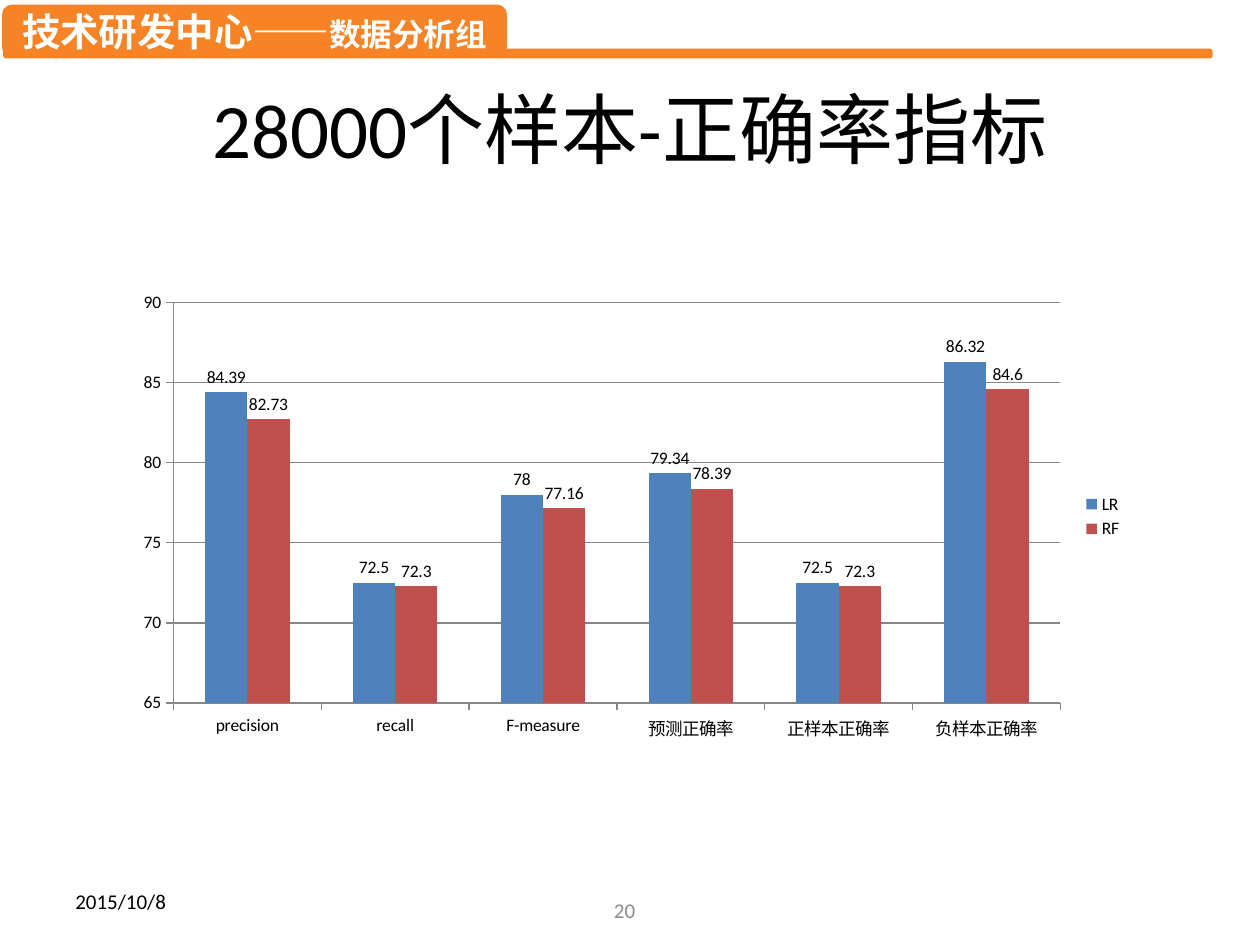
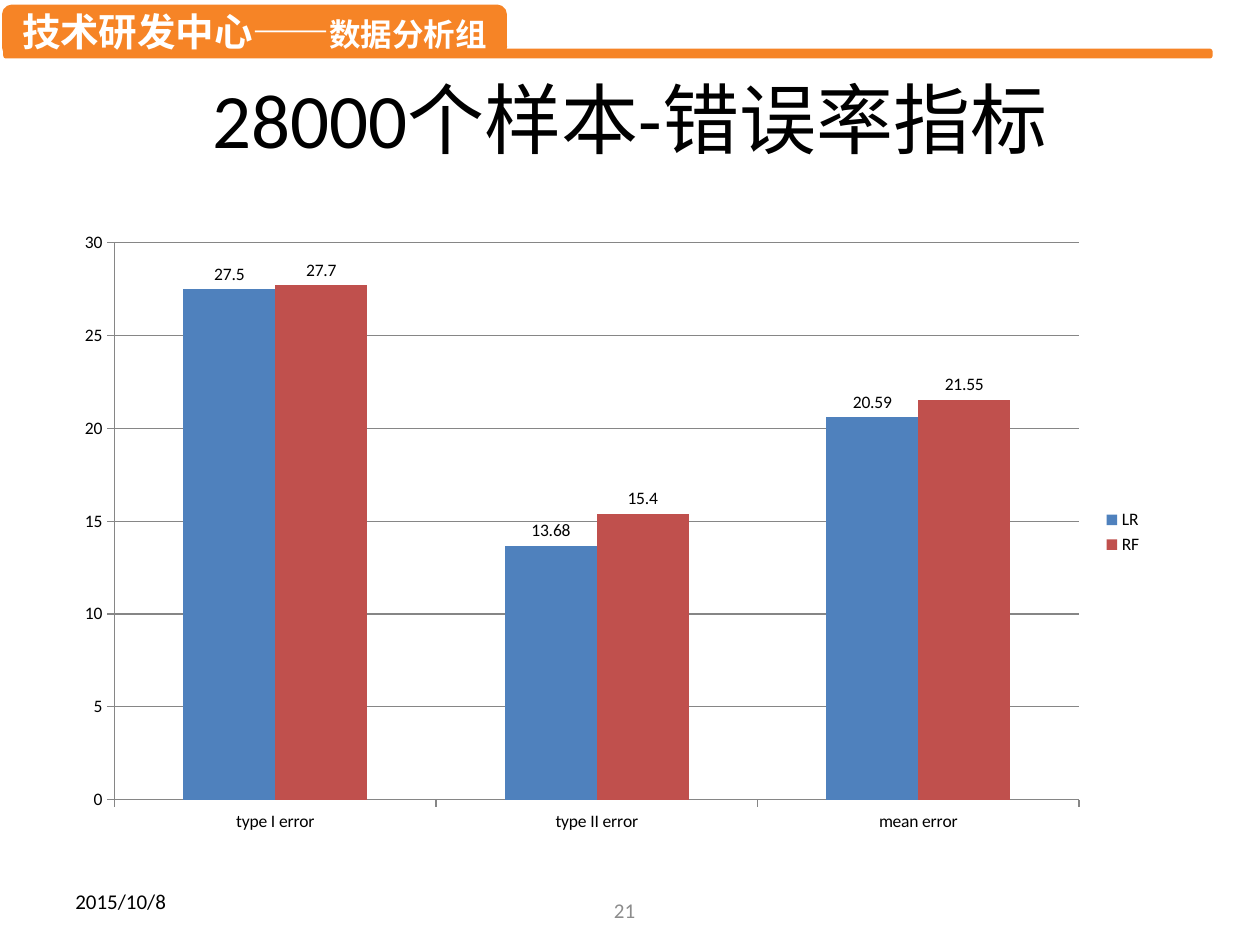
from dataclasses import dataclass

from lxml import etree
from pptx import Presentation
from pptx import util as u
from pptx.chart.data import CategoryChartData
from pptx.dml.color import RGBColor
from pptx.enum import chart as ch, shapes, text
from pptx.oxml.ns import qn

PX = 9144  # EMU in one px, 100 px to the inch
HEX = {"band": "F68426", "white": "FFFFFF", "ink": "000000", "page": "8C8C8C",
       "grid": "868686", "LR": "4F81BD", "RF": "C0504D"}
LATIN, HAN = "Calibri", "Noto Sans CJK SC"
ALIGN, ANCHOR = text.PP_ALIGN, text.MSO_ANCHOR


@dataclass
class Box:
    left: int
    top: int
    width: int
    height: int

    def emu(self) -> list[int]:
        return [n * PX for n in (self.left, self.top, self.width, self.height)]


@dataclass
class Page:
    number: int
    title: str
    head: Box
    plot: Box
    cats: list[str]
    rows: dict[str, list[float]]
    low: int
    high: int


RULE = Box(4, 40, 957, 5)
BAND = Box(3, 5, 398, 39)
DATE = Box(50, 695, 233, 40)
FOOT = Box(281, 702, 233, 40)

PAGES = [
    Page(20, "28000个样本-正确率指标", Box(50, 60, 900, 95), Box(98, 225, 803, 370),
         ["precision", "recall", "F-measure", "预测正确率", "正样本正确率", "负样本正确率"],
         {"LR": [84.39, 72.5, 78, 79.34, 72.5, 86.32],
          "RF": [82.73, 72.3, 77.16, 78.39, 72.3, 84.6]}, 65, 90),
    Page(21, "28000个样本-错误率指标", Box(50, 52, 900, 103), Box(50, 175, 867, 495),
         ["type I error", "type II error", "mean error"],
         {"LR": [27.5, 13.68, 20.59], "RF": [27.7, 15.4, 21.55]}, 0, 30),
]


def color(key: str) -> RGBColor:
    return RGBColor.from_string(HEX[key])


def style(para, key: str, face: str = LATIN, size: int | None = None) -> None:
    """Set the font of a whole paragraph, with the Han face for Chinese."""
    font = para.font
    font.name = face
    font.color.rgb = color(key)
    if size:
        font.size = u.Pt(size)
    for props in para._p.iter(qn("a:defRPr")):
        etree.SubElement(props, qn("a:ea"), typeface=HAN)


def bar(slide, box: Box):
    shape = slide.shapes.add_shape(shapes.MSO_SHAPE.ROUNDED_RECTANGLE, *box.emu())
    shape.shadow.inherit = False
    shape.fill.solid()
    shape.fill.fore_color.rgb = color("band")
    shape.line.color.rgb = color("band")
    shape.line.width = u.Pt(2)
    return shape


def banner(slide) -> None:
    bar(slide, RULE)
    frame = bar(slide, BAND).text_frame
    frame.word_wrap = False
    frame.vertical_anchor = ANCHOR.MIDDLE
    para = frame.paragraphs[0]
    para.alignment = ALIGN.CENTER
    for words, size in (("技术研发中心——", 22), ("数据分析组", 18)):
        run = para.add_run()
        run.text = words
        run.font.size = u.Pt(size)
    para.font.bold = True
    style(para, "white", HAN)


def label(slide, box: Box, words: str, size: int, align, key: str = "ink",
          anchor=ANCHOR.MIDDLE) -> None:
    frame = slide.shapes.add_textbox(*box.emu()).text_frame
    frame.word_wrap = True
    frame.vertical_anchor = anchor
    para = frame.paragraphs[0]
    para.text = words
    para.alignment = align
    style(para, key, size=size)


def columns(slide, page: Page) -> None:
    data = CategoryChartData()
    data.categories = page.cats
    for name, vals in page.rows.items():
        data.add_series(name, vals)
    chart = slide.shapes.add_chart(
        ch.XL_CHART_TYPE.COLUMN_CLUSTERED, *page.plot.emu(), data).chart
    chart.has_title = False
    chart.font.name = LATIN
    chart.font.size = u.Pt(10)
    chart.font.color.rgb = color("ink")
    chart.has_legend = True
    chart.legend.position = ch.XL_LEGEND_POSITION.RIGHT
    chart.legend.include_in_layout = False

    scale = chart.value_axis
    scale.minimum_scale, scale.maximum_scale = page.low, page.high
    scale.major_unit = 5
    scale.has_major_gridlines = True
    for axis in (chart.category_axis, scale):
        axis.major_tick_mark = ch.XL_TICK_MARK.OUTSIDE
    for part in (chart.category_axis, scale, scale.major_gridlines):
        part.format.line.color.rgb = color("grid")
        part.format.line.width = u.Pt(0.75)

    plot = chart.plots[0]
    plot.gap_width = 150
    plot.overlap = 0
    plot.vary_by_categories = False
    for row in plot.series:
        row.format.fill.solid()
        row.format.fill.fore_color.rgb = color(row.name)
        row.data_labels.show_value = True
        row.data_labels.position = ch.XL_LABEL_POSITION.OUTSIDE_END


def main() -> None:
    deck = Presentation()
    deck.slide_width, deck.slide_height = 1000 * PX, 750 * PX
    for page in PAGES:
        slide = deck.slides.add_slide(deck.slide_layouts[6])
        banner(slide)
        label(slide, page.head, page.title, 44, ALIGN.CENTER, anchor=ANCHOR.TOP)
        label(slide, DATE, "2015/10/8", 12, ALIGN.LEFT)
        label(slide, FOOT, str(page.number), 12, ALIGN.RIGHT, "page")
        columns(slide, page)
    deck.save("out.pptx")


if __name__ == "__main__":
    main()
